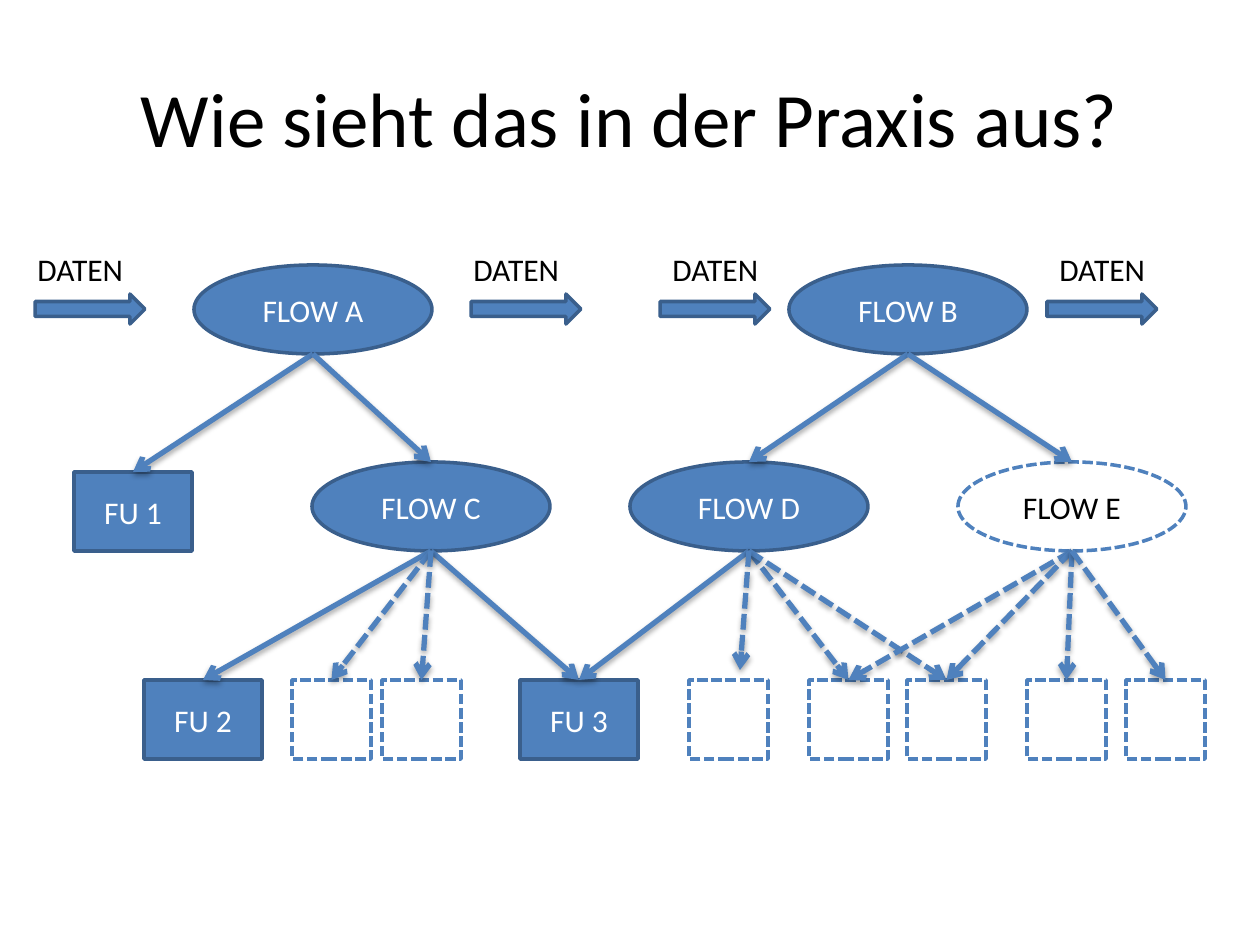
import pptx
import pptx.util
import pptx.dml.color
import pptx.enum.dml
import pptx.enum.shapes
import pptx.enum.text
import pptx.oxml
import pptx.oxml.ns

SHAPE = pptx.enum.shapes.MSO_SHAPE
ALIGN = pptx.enum.text.PP_ALIGN
ANCHOR = pptx.enum.text.MSO_ANCHOR
EMU_PER_PX = 914400 / 126
COLORS = {
    "blue": "4F81BD",
    "edge": "3A5F8C",
    "white": "FFFFFF",
    "black": "000000",
}
SHADOW = (
    f'<a:effectLst {pptx.oxml.ns.nsdecls("a")}>'
    '<a:outerShdw blurRad="40000" dist="23000" dir="5400000" rotWithShape="0">'
    f'<a:srgbClr val="{COLORS["black"]}"><a:alpha val="35000"/></a:srgbClr>'
    "</a:outerShdw></a:effectLst>"
)
ARROWHEAD = f'<a:tailEnd {pptx.oxml.ns.nsdecls("a")} type="arrow"/>'


def emu(*lengths):
    return [pptx.util.Emu(round(px * EMU_PER_PX)) for px in lengths]


def rgb(name):
    return pptx.dml.color.RGBColor.from_string(COLORS[name])


class FlowSlide:
    font = "Calibri"
    text_size = 18
    title_size = 44
    outline = 2
    arrow_width = 3

    def __init__(self, presentation):
        self.slide = presentation.slides.add_slide(presentation.slide_layouts[5])
        self.shapes = self.slide.shapes

    def fill_text(self, frame, text, size, color, align):
        frame.text = text
        paragraph = frame.paragraphs[0]
        paragraph.alignment = align
        for run in paragraph.runs:
            run.font.name = self.font
            run.font.size = pptx.util.Pt(size)
            run.font.color.rgb = rgb(color)

    def stroke(self, line, color, width, dashed):
        line.color.rgb = rgb(color)
        line.width = pptx.util.Pt(width)
        if dashed:
            line.dash_style = pptx.enum.dml.MSO_LINE.SQUARE_DOT

    def title(self, text, box):
        heading = self.shapes.title
        heading.left, heading.top, heading.width, heading.height = emu(*box)
        heading.text_frame.vertical_anchor = ANCHOR.MIDDLE
        self.fill_text(heading.text_frame, text, self.title_size, "black", ALIGN.CENTER)

    def node(self, kind, box, text="", dashed=False):
        node = self.shapes.add_shape(kind, *emu(*box))
        node.shadow.inherit = False
        node.fill.solid()
        node.fill.fore_color.rgb = rgb("white" if dashed else "blue")
        self.stroke(node.line, "blue" if dashed else "edge", self.outline, dashed)
        if text:
            node.text_frame.vertical_anchor = ANCHOR.MIDDLE
            color = "black" if dashed else "white"
            self.fill_text(node.text_frame, text, self.text_size, color, ALIGN.CENTER)
        return node

    def label(self, text, box):
        label = self.shapes.add_textbox(*emu(*box))
        label.text_frame.word_wrap = False
        label.text_frame.auto_size = pptx.enum.text.MSO_AUTO_SIZE.SHAPE_TO_FIT_TEXT
        self.fill_text(label.text_frame, text, self.text_size, "black", ALIGN.LEFT)

    def arrow(self, parent, child=None, end=(0, 0), dashed=False):
        start_x = parent.left + parent.width // 2
        start_y = parent.top + parent.height
        arrow = self.shapes.add_connector(
            pptx.enum.shapes.MSO_CONNECTOR.STRAIGHT, start_x, start_y, *emu(*end)
        )
        if child is not None:
            arrow.end_connect(child, 0)
        self.stroke(arrow.line, "blue", self.arrow_width, dashed)
        properties = arrow.element.spPr
        properties.find(pptx.oxml.ns.qn("a:ln")).append(pptx.oxml.parse_xml(ARROWHEAD))
        properties.append(pptx.oxml.parse_xml(SHADOW))


def main():
    presentation = pptx.Presentation()
    presentation.slide_width, presentation.slide_height = emu(1260, 945)
    page = FlowSlide(presentation)
    page.title("Wie sieht das in der Praxis aus?", (63, 38, 1134, 158))

    flows = {}
    for letter, left, top, width in (
        ("A", 194, 265, 238),
        ("B", 789, 265, 238),
        ("C", 312, 462, 238),
        ("D", 630, 462, 238),
        ("E", 958, 462, 228),
    ):
        flows[letter] = page.node(
            SHAPE.OVAL, (left, top, width, 89), f"FLOW {letter}", dashed=letter == "E"
        )

    units = [
        page.node(SHAPE.RECTANGLE, (left, top, 118, 79), f"FU {number}")
        for number, (left, top) in enumerate(((74, 472), (144, 680), (520, 680)), 1)
    ]
    open_units = [
        page.node(SHAPE.RECTANGLE, (left, 680, 79, 79), dashed=True)
        for left in (292, 382, 689, 809, 907, 1027, 1126)
    ]

    for arrow_left, label_left in ((35, 25), (471, 461), (660, 660), (1047, 1047)):
        page.node(SHAPE.RIGHT_ARROW, (arrow_left, 294, 110, 30))
        page.label("DATEN", (label_left, 244, 112, 50))

    calls = {
        "A": (units[0], flows["C"]),
        "B": (flows["D"], flows["E"]),
        "C": (units[1], units[2]),
        "D": (units[2],),
    }
    open_calls = {"C": open_units[:2], "D": open_units[3:5], "E": open_units[3:]}
    for links, dashed in ((calls, False), (open_calls, True)):
        for letter, children in links.items():
            for child in children:
                page.arrow(flows[letter], child, dashed=dashed)
    page.arrow(flows["D"], end=(740, 670), dashed=True)

    presentation.save("out.pptx")


if __name__ == "__main__":
    main()
